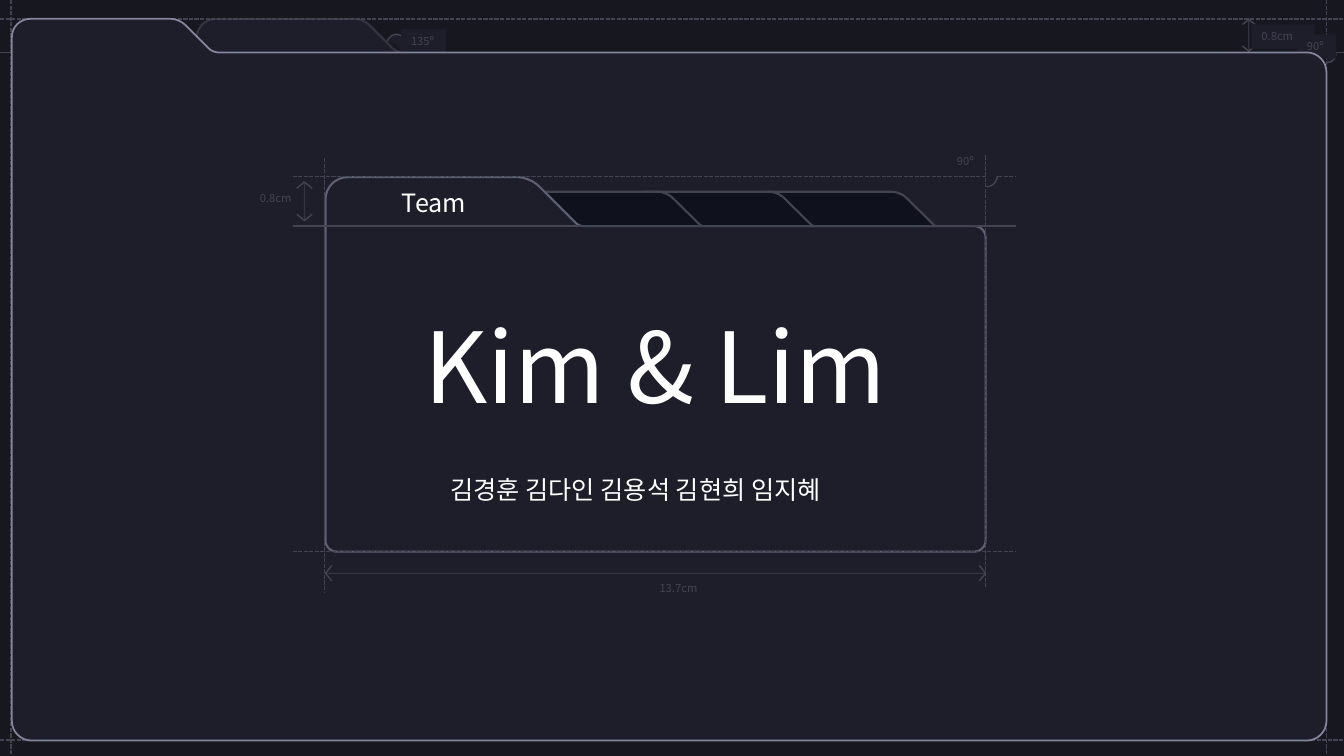
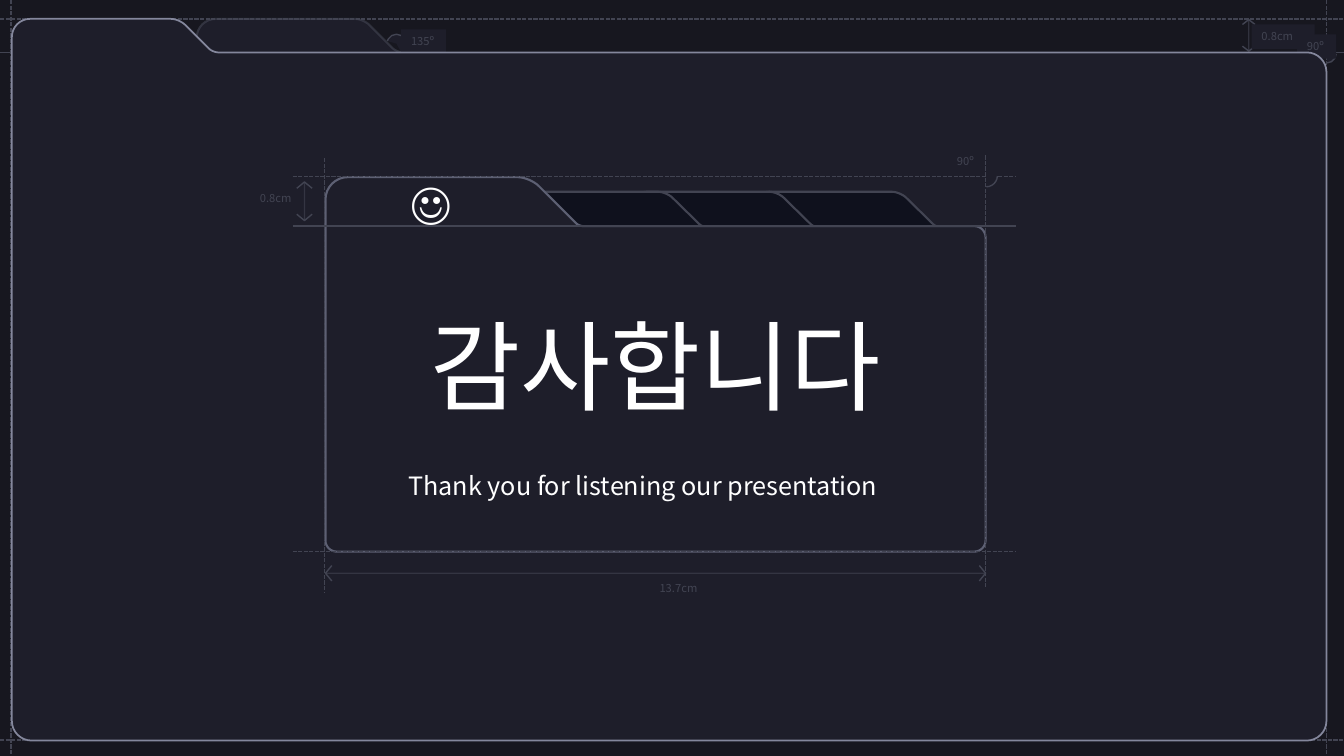
"""Build two folder-style slides: the team page and the closing page."""
from math import hypot

from lxml.etree import SubElement
from pptx import Presentation
from pptx.dml.color import RGBColor
from pptx.enum.dml import MSO_LINE_DASH_STYLE as Dash
from pptx.enum.shapes import MSO_CONNECTOR as Connector, MSO_SHAPE as Shape
from pptx.enum.text import MSO_ANCHOR as Anchor, MSO_AUTO_SIZE as AutoSize, PP_ALIGN as Align
from pptx.oxml.ns import qn
from pptx.util import Pt

rgb = RGBColor.from_string
FONT = "Noto Sans CJK KR"
BACKDROP, PAPER, TAB, GUIDE, WHITE = "17171F", "1E1E2A", "0F111D", "424452", "FFFFFF"


def stroke(shape, color, width, opacity=100):
    shape.line.color.rgb = rgb(color)
    shape.line.width = Pt(width)
    properties = shape.element.spPr
    if opacity < 100:
        tint = next(properties.find(qn("a:ln")).iter(qn("a:srgbClr")))
        SubElement(tint, qn("a:alpha"), val=str(opacity * 1000))
    if properties.find(qn("a:effectLst")) is None:
        SubElement(properties, qn("a:effectLst"))


def write(box, text, size, color, align=Align.LEFT, anchor=Anchor.TOP):
    frame = box.text_frame
    frame.word_wrap = True
    frame.auto_size = AutoSize.NONE
    frame.vertical_anchor = anchor
    frame.margin_right = frame.margin_left if align == Align.CENTER else 0
    para = frame.paragraphs[0]
    para.alignment = align
    para.space_before = Pt(0)
    span = para.add_run()
    span.text = text
    span.font.name = FONT
    span.font.size = Pt(size)
    span.font.color.rgb = rgb(color)
    SubElement(span.font._element, qn("a:ea"), typeface=FONT)


back_tab = [(140.5, 57, 0), (140.5, 13.5, 13.5), (259.5, 13.5, 6), (283.5, 37.5, 4.5),
            (294, 37.5, 0), (294, 57, 0)]
window = [(8.5, 13.5, 13), (128, 13.5, 6), (152, 37.5, 4),
          (947.5, 37.5, 14), (947.5, 529, 14), (8.5, 529, 14)]
small_tab = [(0, 137, 11.5), (105, 137, 6), (130.5, 162, 2.5),
             (141, 162, 0), (141, 173.5, 0), (0, 173.5, 0)]
folder = [(232.5, 126.5, 16), (378.5, 126.5, 9), (413.5, 161.5, 3),
          (704, 161.5, 8), (704, 394, 8), (232.5, 394, 8)]
small_tabs = [([(left + x, y, cut) for x, y, cut in small_tab], TAB, GUIDE, 1.5, 100)
              for left in (538, 450.5, 371)]

stages = [
    {
        "outlines": [(back_tab, PAPER, "4D505F", 1.5, 48)],
        "rules": [(0, 13.5, 960, 13.5, True), (8, 0, 8, 540, True), (947.5, 0, 947.5, 540, True),
                  (0, 528.5, 960, 528.5, True), (0, 37.5, 960, 37.5, False)],
        "spans": [(892, 14, 892, 36.5, 4.5, 3.5)],
        "arcs": [(941, 31.5, 13.5, 1.33, 53.74), (276.5, 24.5, 13.5, 117.94, 36.67)],
        "labels": [("0.8cm", 894, 17.5, 45), ("90º", 926.5, 24.5, 28), ("135º", 286.5, 21, 32)],
    },
    {
        "outlines": [(window, PAPER, "84879C", 1.25, 100), *small_tabs,
                     (folder, PAPER, "5D6073", 1.5, 100)],
        "rules": [(232, 113, 232, 423.5, True), (209, 126, 726, 126, True),
                  (704, 111, 704, 420.5, True), (209, 161.5, 726, 161.5, False),
                  (209, 394, 726, 394, True)],
        "spans": [(217.5, 130, 217.5, 157.5, 5.5, 4.5), (232.5, 409.5, 704, 409.5, 5.5, 4.5)],
        "arcs": [(696.5, 117.5, 16, 1.33, 53.74)],
        "labels": [("0.8cm", 178.5, 133, 32), ("90º", 676.5, 106.5, 24), ("13.7cm", 464, 412, 40)],
    },
]

pages = [
    ("Kim & Lim", ("김경훈 김다인 김용석 김현희 임지혜", 314.5, 335.5, 480),
     ("Team", 18, 280, 130.5, 72, 29)),
    ("감사합니다", ("Thank you for listening our presentation", 284.5, 332, 367),
     ("☺", 32, 286, 121.5, 32.5, 46)),
]

deck = Presentation()
deck.slide_width, deck.slide_height = Pt(960), Pt(540)
deck.slide_master.background.fill.solid()
deck.slide_master.background.fill.fore_color.rgb = rgb(BACKDROP)

for heading, (subtitle, sub_left, sub_top, sub_width), (tab_text, tab_size, *tab_place) in pages:
    page = deck.slides.add_slide(deck.slide_layouts[0])
    shapes = page.shapes

    for stage in stages:
        for corners, fill, color, width, opacity in stage["outlines"]:
            points = []
            for index, (x, y, cut) in enumerate(corners):
                if not cut:
                    points.append((Pt(x), Pt(y)))
                    continue
                ends = []
                for near_x, near_y, _ in (corners[index - 1], corners[(index + 1) % len(corners)]):
                    share = cut / hypot(near_x - x, near_y - y)
                    ends.append(((near_x - x) * share, (near_y - y) * share))
                (in_x, in_y), (out_x, out_y) = ends
                for step in range(9):
                    t = step / 8
                    come = (1 - t) ** 3 + 1.35 * t * (1 - t) ** 2
                    leave = t ** 3 + 1.35 * t ** 2 * (1 - t)
                    points.append((Pt(x + in_x * come + out_x * leave),
                                   Pt(y + in_y * come + out_y * leave)))
            builder = shapes.build_freeform(*points[0])
            builder.add_line_segments(points[1:], close=True)
            outline = builder.convert_to_shape()
            outline.fill.solid()
            outline.fill.fore_color.rgb = rgb(fill)
            stroke(outline, color, width, opacity)

        for x1, y1, x2, y2, dashed in stage["rules"]:
            rule = shapes.add_connector(Connector.STRAIGHT, Pt(x1), Pt(y1), Pt(x2), Pt(y2))
            stroke(rule, GUIDE, 1)
            if dashed:
                rule.line.dash_style = Dash.SQUARE_DOT

        for x1, y1, x2, y2, half, depth in stage["spans"]:
            measure = shapes.add_connector(Connector.STRAIGHT, Pt(x1), Pt(y1), Pt(x2), Pt(y2))
            stroke(measure, GUIDE, 1, 61)
            length = hypot(x2 - x1, y2 - y1)
            across, down = (x2 - x1) / length, (y2 - y1) / length
            for x, y, inward in ((x1, y1, depth), (x2, y2, -depth)):
                base_x, base_y = x + across * inward, y + down * inward
                builder = shapes.build_freeform(Pt(base_x - down * half), Pt(base_y - across * half))
                builder.add_line_segments(
                    [(Pt(x), Pt(y)), (Pt(base_x + down * half), Pt(base_y + across * half))],
                    close=False)
                chevron = builder.convert_to_shape()
                chevron.fill.background()
                stroke(chevron, GUIDE, 1)

        for left, top, size, start, end in stage["arcs"]:
            arc = shapes.add_shape(Shape.ARC, Pt(left), Pt(top), Pt(size), Pt(size))
            arc.adjustments[0], arc.adjustments[1] = start, end
            arc.fill.solid()
            arc.fill.fore_color.rgb = rgb(PAPER)
            stroke(arc, GUIDE, 1)

        for text, left, top, width in stage["labels"]:
            label = shapes.add_textbox(Pt(left), Pt(top), Pt(width), Pt(17.5))
            label.fill.solid()
            label.fill.fore_color.rgb = rgb(PAPER)
            write(label, text, 8, GUIDE)

    title, names = shapes.title, page.placeholders[1]
    title.left, title.top, title.width, title.height = Pt(232.5), Pt(126.5), Pt(471.5), Pt(267.5)
    names.left, names.top, names.width, names.height = Pt(sub_left), Pt(sub_top), Pt(sub_width), Pt(29)
    write(title, heading, 70, WHITE, Align.CENTER, Anchor.MIDDLE)
    write(names, subtitle, 18, WHITE)
    for placeholder in (title, names):
        shapes.element.append(placeholder.element)
    write(shapes.add_textbox(*map(Pt, tab_place)), tab_text, tab_size, WHITE)

deck.save("out.pptx")
